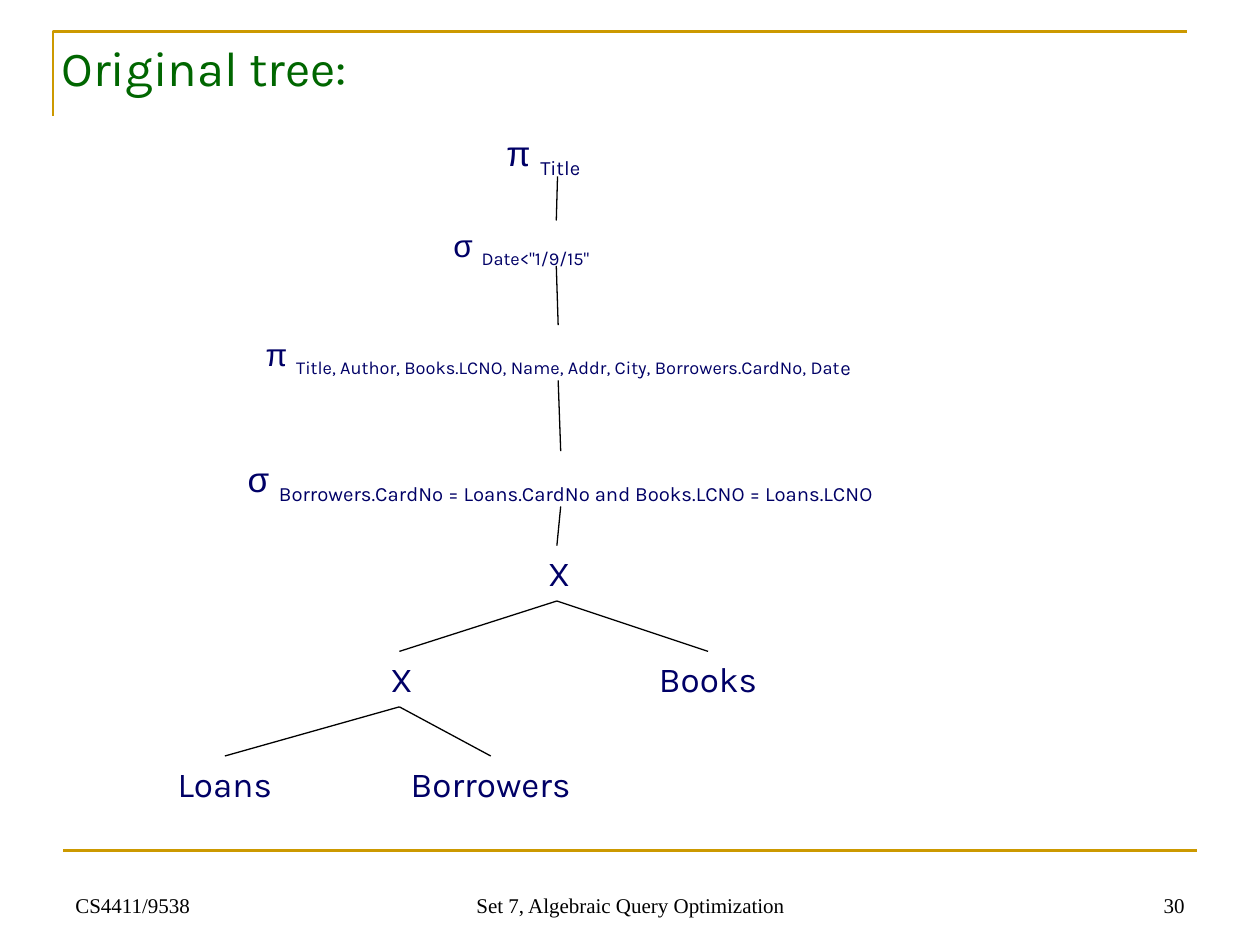
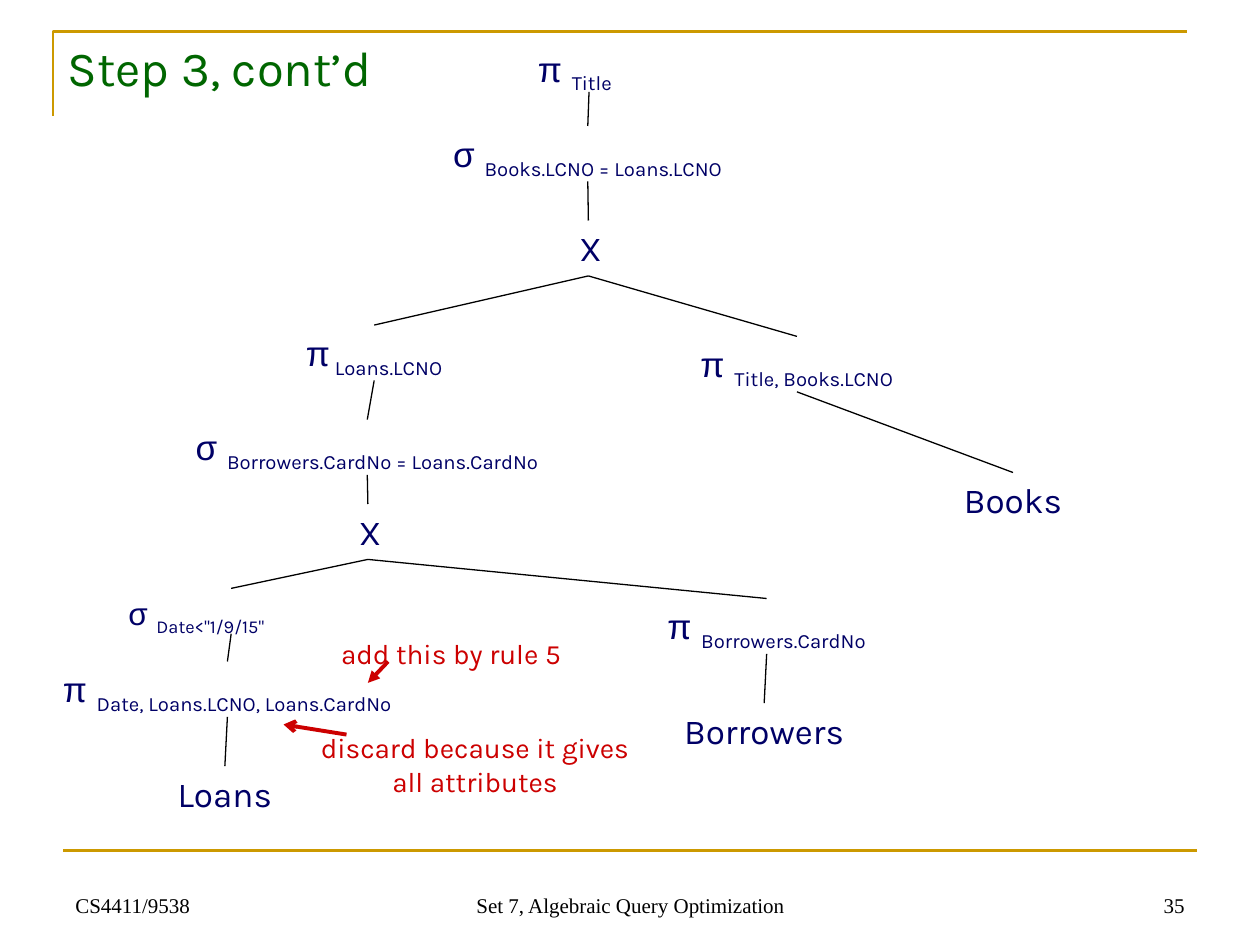
import dataclasses

import lxml.etree
import pptx
import pptx.dml.color
import pptx.enum.shapes
import pptx.enum.text
import pptx.oxml.ns
import pptx.util

Inches = pptx.util.Inches
ALIGN = pptx.enum.text.PP_ALIGN
ANCHOR = pptx.enum.text.MSO_ANCHOR

COLORS = {
    "title": "006600",
    "node": "000066",
    "note": "CC0000",
    "frame": "CC9900",
    "edge": "000000",
    "footer": "000000",
}
SANS, GREEK, SERIF = "Karla", "Arial", "Times New Roman"


@dataclasses.dataclass
class Node:
    """A tree node: an operator with a subscript, or a plain relation name."""
    label: str
    left: float
    top: float
    width: float
    subscript: str = ""
    size: int = 20
    indented: bool = False
    large_end: str = ""

    @property
    def head(self):
        return self.left + self.width / 2, self.top

    @property
    def foot(self):
        drop = self.size / 50 if self.indented else 0.44
        return self.left + self.width / 2, self.top + drop


def rgb(name):
    return pptx.dml.color.RGBColor.from_string(COLORS[name])


def style_run(r, font, size, color, subscript=False):
    r.font.name = font
    r.font.size = pptx.util.Pt(size)
    r.font.color.rgb = rgb(color)
    if subscript:
        r.font._element.set("baseline", "-25000")


def add_box(s, left, top, width, height, wrap=True, grow=True):
    sp = s.shapes.add_textbox(Inches(left), Inches(top), Inches(width), Inches(height))
    tf = sp.text_frame
    tf.word_wrap = wrap
    if grow:
        tf.auto_size = pptx.enum.text.MSO_AUTO_SIZE.SHAPE_TO_FIT_TEXT
    return tf


def add_lines(tf, lines, font, size, color, align):
    tf.text = "\n".join(lines)
    for p in tf.paragraphs:
        p.alignment = align
        for r in p.runs:
            style_run(r, font, size, color)


def add_line(s, start, end, color="edge", width=0.75, arrowhead=None):
    points = [Inches(v) for v in (*start, *end)]
    line = s.shapes.add_connector(pptx.enum.shapes.MSO_CONNECTOR.STRAIGHT, *points)
    line.line.color.rgb = rgb(color)
    line.line.width = pptx.util.Pt(width)
    qn = pptx.oxml.ns.qn
    if arrowhead:
        ln = line.line._get_or_add_ln()
        lxml.etree.SubElement(ln, qn("a:tailEnd"), type=arrowhead)
    lxml.etree.SubElement(line._element.spPr, qn("a:effectLst"))


def add_frame(s):
    """Draw the corner rule round the title and the rule above the footer."""
    builder = s.shapes.build_freeform(Inches(0.42), Inches(0.92))
    corner = [(Inches(0.42), Inches(0.25)), (Inches(9.42), Inches(0.25))]
    builder.add_line_segments(corner, close=False)
    sp = builder.convert_to_shape()
    sp.shadow.inherit = False
    sp.fill.background()
    sp.line.color.rgb = rgb("frame")
    sp.line.width = pptx.util.Pt(1.5)
    add_line(s, (0.5, 6.75), (9.5, 6.75), "frame", 1.5)


def add_footer(s, number):
    for text, left, width, align in (
        ("CS4411/9538", 0.5, 2.33, ALIGN.LEFT),
        ("Set 7, Algebraic Query Optimization", 3.42, 3.17, ALIGN.CENTER),
        (str(number), 7.17, 2.33, ALIGN.RIGHT),
    ):
        tf = add_box(s, left, 6.83, width, 0.5, grow=False)
        tf.vertical_anchor = ANCHOR.BOTTOM
        add_lines(tf, [text], SERIF, 12, "footer", align)


def add_slide(prs, title, title_left, title_width, number):
    s = prs.slides.add_slide(prs.slide_layouts[6])
    add_frame(s)
    add_footer(s, number)
    tf = add_box(s, title_left, 0.25, title_width, 0.57)
    add_lines(tf, [title], SANS, 28, "title", ALIGN.LEFT)
    return s


def add_node(s, node):
    height = 0.48 if node.subscript and not node.indented else 0.44
    tf = add_box(s, node.left, node.top, node.width, height, wrap=node.indented)
    p = tf.paragraphs[0]
    if node.indented:
        p.line_spacing = 0.9
        pPr = p._p.get_or_add_pPr()
        pPr.set("marL", str(Inches(0.38)))
        pPr.set("indent", str(Inches(-0.38)))
    else:
        p.alignment = ALIGN.CENTER
    pieces = [
        (node.label, GREEK if node.subscript else SANS, node.size, False),
        (node.subscript, SANS, node.size, True),
        (node.large_end, SANS, 20, True),
    ]
    for text, font, size, subscript in pieces:
        if text:
            r = p.add_run()
            r.text = text
            style_run(r, font, size, "node", subscript)


def add_tree(s, nodes, edges):
    """Draw the nodes and join each parent's foot to its child's head."""
    for parent, child in edges:
        add_line(s, nodes[parent].foot, nodes[child].head)
    for node in nodes.values():
        add_node(s, node)


def add_note(s, lines, left, top, width, height):
    tf = add_box(s, left, top, width, height, wrap=False)
    add_lines(tf, lines, SANS, 16, "note", ALIGN.CENTER)


def title_node(left, top):
    return Node("π ", left, top, 1.01, "Title", indented=True)


def date_node(left, top):
    return Node("σ ", left, top, 1.83, 'Date<"1/9/15"', size=18, indented=True)


def cross_node(left, top):
    return Node("X", left, top, 0.34)


def add_original_tree(prs):
    s = add_slide(prs, "Original tree:", 0.39, 2.6, 30)
    nodes = {
        "title": title_node(3.92, 1),
        "date": date_node(3.5, 1.75),
        "columns": Node(
            "π ", 1.84, 2.58, 5.18,
            "Title, Author, Books.LCNO, Name, Addr, City, Borrowers.CardNo, Dat",
            size=18, large_end="e"),
        "join": Node(
            "σ ", 1.68, 3.58, 5.54,
            "Borrowers.CardNo = Loans.CardNo and Books.LCNO = Loans.LCNO"),
        "outer": cross_node(4.25, 4.33),
        "inner": cross_node(3, 5.17),
        "loans": Node("Loans", 1.3, 6, 0.97),
        "borrowers": Node("Borrowers", 3.11, 6, 1.57),
        "books": Node("Books", 5.12, 5.17, 1),
    }
    edges = [
        ("title", "date"), ("date", "columns"), ("columns", "join"),
        ("join", "outer"), ("outer", "inner"), ("outer", "books"),
        ("inner", "loans"), ("inner", "borrowers"),
    ]
    add_tree(s, nodes, edges)


def add_step_3(prs):
    s = add_slide(prs, "Step 3, cont’d", 0.44, 2.65, 35)
    nodes = {
        "title": title_node(4.17, 0.33),
        "book join": Node("σ ", 3.42, 1, 2.49, "Books.LCNO = Loans.LCNO"),
        "outer": cross_node(4.5, 1.75),
        "loan key": Node("π", 2.29, 2.58, 1.36, " Loans.LCNO"),
        "book columns": Node("π ", 5.42, 2.67, 1.81, "Title, Books.LCNO"),
        "card join": Node("σ ", 1.36, 3.33, 3.11, "Borrowers.CardNo = Loans.CardNo"),
        "inner": cross_node(2.75, 4),
        "date": date_node(0.92, 4.67),
        "card key": Node("π ", 4.92, 4.75, 2.33, "Borrowers.CardNo"),
        "loan columns": Node("π ", 0.29, 5.25, 3.03, "Date, Loans.LCNO, Loans.CardNo"),
        "loans": Node("Loans", 1.3, 6.08, 0.97),
        "borrowers": Node("Borrowers", 5.28, 5.58, 1.57),
        "books": Node("Books", 7.54, 3.75, 1),
    }
    edges = [
        ("title", "book join"), ("book join", "outer"),
        ("outer", "loan key"), ("outer", "book columns"),
        ("book columns", "books"), ("loan key", "card join"),
        ("card join", "inner"), ("inner", "date"), ("inner", "card key"),
        ("card key", "borrowers"), ("date", "loan columns"),
        ("loan columns", "loans"),
    ]
    add_tree(s, nodes, edges)
    add_note(s, ["add this by rule 5"], 2.58, 5, 2, 0.37)
    add_note(s, ["discard because it gives", "all attributes"], 2.44, 5.75, 2.66, 0.64)
    add_line(s, (3.08, 5.25), (2.92, 5.42), "note", 2.25, "triangle")
    add_line(s, (2.75, 5.83), (2.25, 5.75), "note", 2.25, "arrow")


def main():
    prs = pptx.Presentation()
    prs.slide_width = Inches(10)
    prs.slide_height = Inches(7.5)
    add_original_tree(prs)
    add_step_3(prs)
    prs.save("out.pptx")


if __name__ == "__main__":
    main()
